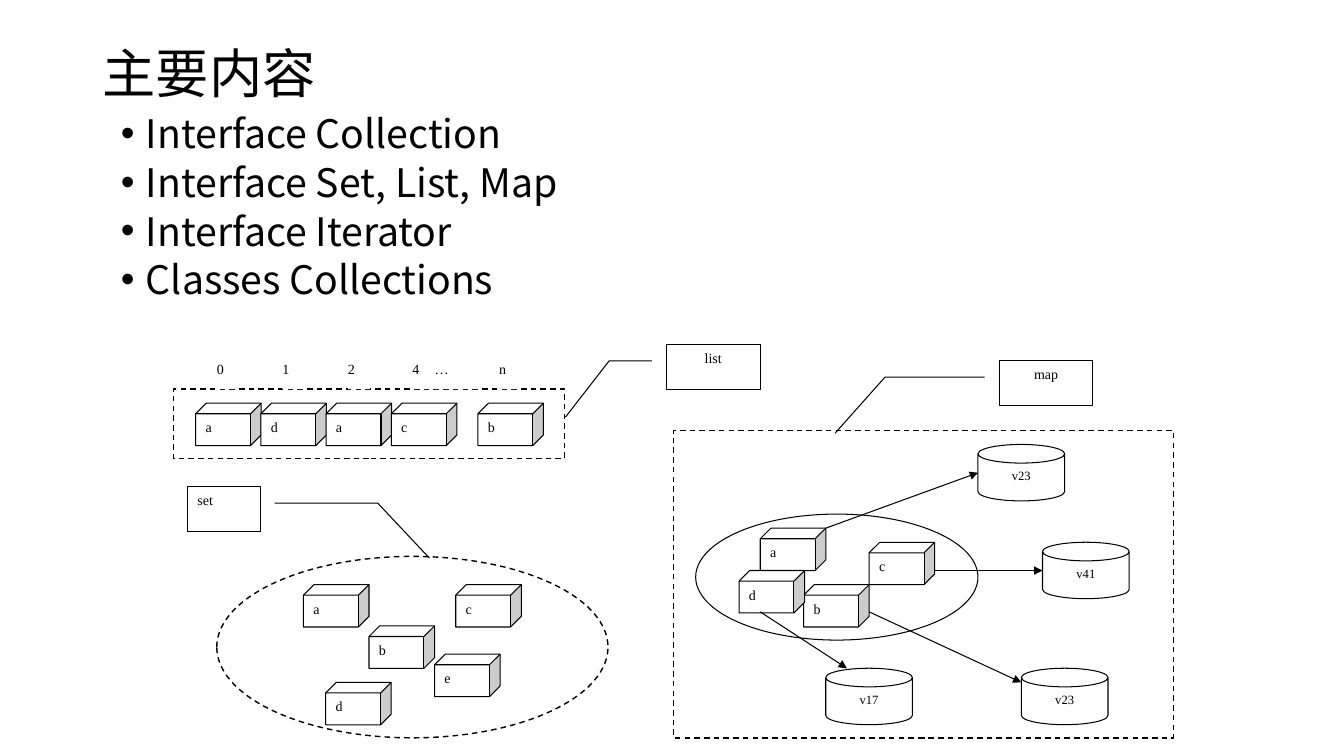
from pptx import Presentation
from pptx import util as u
from pptx.dml.color import RGBColor
from pptx.enum import dml, shapes, text
from pptx.oxml import parse_xml
from pptx.oxml.ns import nsdecls, qn

Inches, Pt = u.Inches, u.Pt
KIND, ALIGN = shapes.MSO_SHAPE, text.PP_ALIGN


def write(paragraph, words, **format_values):
    run = paragraph.add_run()
    run.text = words
    run.font.color.rgb = RGBColor.from_string("000000")
    for key, value in format_values.items():
        setattr(run.font, key, value)


def draw(kind, left, top, width, height, words="", line=0.75, dashed=False,
         align=ALIGN.JUSTIFY, size=10, inset=None, adjust=()):
    part = slide.shapes.add_shape(
        kind, Inches(left), Inches(top), Inches(width), Inches(height))
    part.shadow.inherit = False
    for index, value in enumerate(adjust):
        part.adjustments[index] = value
    part.fill.solid()
    part.fill.fore_color.rgb = RGBColor.from_string("FFFFFF")
    if line:
        part.line.color.rgb = RGBColor.from_string("000000")
        part.line.width = Pt(line)
    else:
        part.line.fill.background()
    if dashed:
        part.line.dash_style = dml.MSO_LINE.DASH
    if words:
        frame = part.text_frame
        frame.word_wrap = True
        frame.vertical_anchor = text.MSO_ANCHOR.TOP
        if inset is not None:
            for side in ("left", "top", "right", "bottom"):
                setattr(frame, f"margin_{side}", Inches(inset))
        frame.paragraphs[0].alignment = align
        write(frame.paragraphs[0], words, name="Times New Roman", size=Pt(size))


deck = Presentation()
deck.slide_width, deck.slide_height = Inches(13.33), Inches(7.5)
slide = deck.slides.add_slide(deck.slide_layouts[6])

title = slide.shapes.add_textbox(
    Inches(0.92), Inches(0.18), Inches(11.5), Inches(1.16)).text_frame
title.word_wrap = True
title.vertical_anchor = text.MSO_ANCHOR.MIDDLE
title.paragraphs[0].line_spacing = 0.9
write(title.paragraphs[0], "主要内容", name="Arial", size=Pt(38))

topics = slide.shapes.add_textbox(
    Inches(1.1), Inches(1.13), Inches(9), Inches(4.95)).text_frame
topics.word_wrap = True
for number, topic in enumerate(["Interface Collection", "Interface Set, List, Map",
                                "Interface Iterator", "Classes Collections"]):
    bullet = topics.add_paragraph() if number else topics.paragraphs[0]
    bullet.line_spacing = 0.8
    bullet.space_before = Pt(7.8 if number else 0)
    properties = bullet._p.get_or_add_pPr()
    properties.set("marL", str(Inches(0.25)))
    properties.set("indent", str(-Inches(0.25)))
    properties.append(parse_xml(f'<a:buFont {nsdecls("a")} typeface="Arial"/>'))
    properties.append(parse_xml(f'<a:buChar {nsdecls("a")} char="•"/>'))
    write(bullet, topic, name="Noto Sans CJK SC", size=Pt(28))

draw(KIND.RECTANGLE, 1.72, 3.86, 3.88, 0.69, line=1, dashed=True)
draw(KIND.RECTANGLE, 6.68, 4.27, 4.96, 3.05, line=1, dashed=True)
draw(KIND.OVAL, 2.15, 5.52, 3.88, 1.8, line=1, dashed=True)
draw(KIND.OVAL, 6.9, 5.1, 2.8, 1.25)

list_items = [(1.94 + 0.647 * slot, 4, item) for slot, item in enumerate("adac")]
list_items.append((4.74, 4, "b"))
set_items = [(3.01, 5.8, "a"), (3.66, 6.21, "b"), (4.52, 5.8, "c"),
             (3.23, 6.77, "d"), (4.31, 6.49, "e")]
map_keys = [(7.54, 5.24, "a"), (7.97, 5.8, "b"), (8.62, 5.38, "c"), (7.33, 5.66, "d")]
for left, top, item in list_items + set_items + map_keys:
    draw(KIND.CUBE, left, top, 0.65, 0.42, item, adjust=[0.25])

for left, width, index in [(2.15, 0.22, "0"), (2.8, 0.22, "1"), (3.45, 0.22, "2"),
                           (4.09, 0.22, "4"), (4.31, 0.43, "…"), (4.95, 0.22, "n")]:
    draw(KIND.RECTANGLE, left, 3.58, width, 0.28, index, line=0, inset=0)

for left, top, value in [(10.13, 6.63, "v23"), (10.34, 5.38, "v41"),
                         (9.7, 4.41, "v23"), (8.19, 6.63, "v17")]:
    draw(KIND.CAN, left, top, 0.86, 0.56, value, align=ALIGN.CENTER, size=9,
         adjust=[0.33])

for ends in [(8.62, 6.07, 10.13, 6.77), (9.27, 5.66, 10.34, 5.66),
             (8.19, 5.24, 9.7, 4.69), (7.54, 6.07, 8.4, 6.63)]:
    arrow = slide.shapes.add_connector(
        shapes.MSO_CONNECTOR.STRAIGHT, *[Inches(end) for end in ends])
    arrow.line.color.rgb = RGBColor.from_string("000000")
    arrow.line.width = Pt(0.75)
    outline = arrow._element.spPr.find(qn("a:ln"))
    outline.append(parse_xml(f'<a:tailEnd {nsdecls("a")} type="triangle"/>'))
    outline.addnext(parse_xml(f'<a:effectLst {nsdecls("a")}/>'))

for left, top, width, name, align, leader in [
        (6.61, 3.42, 0.93, "list", ALIGN.CENTER,
         [0.367, -0.154, 0.367, -0.612, 1.633, -1.077]),
        (9.91, 3.58, 0.93, "map", ALIGN.CENTER,
         [0.367, -0.154, 0.367, -1.217, 1.633, -1.75]),
        (1.86, 4.83, 0.72, "set", ALIGN.JUSTIFY,
         [0.367, 1.2, 0.367, 2.62, 1.608, 3.332])]:
    draw(KIND.LINE_CALLOUT_2, left, top, width, 0.44, name, align=align, adjust=leader)

deck.save("out.pptx")
